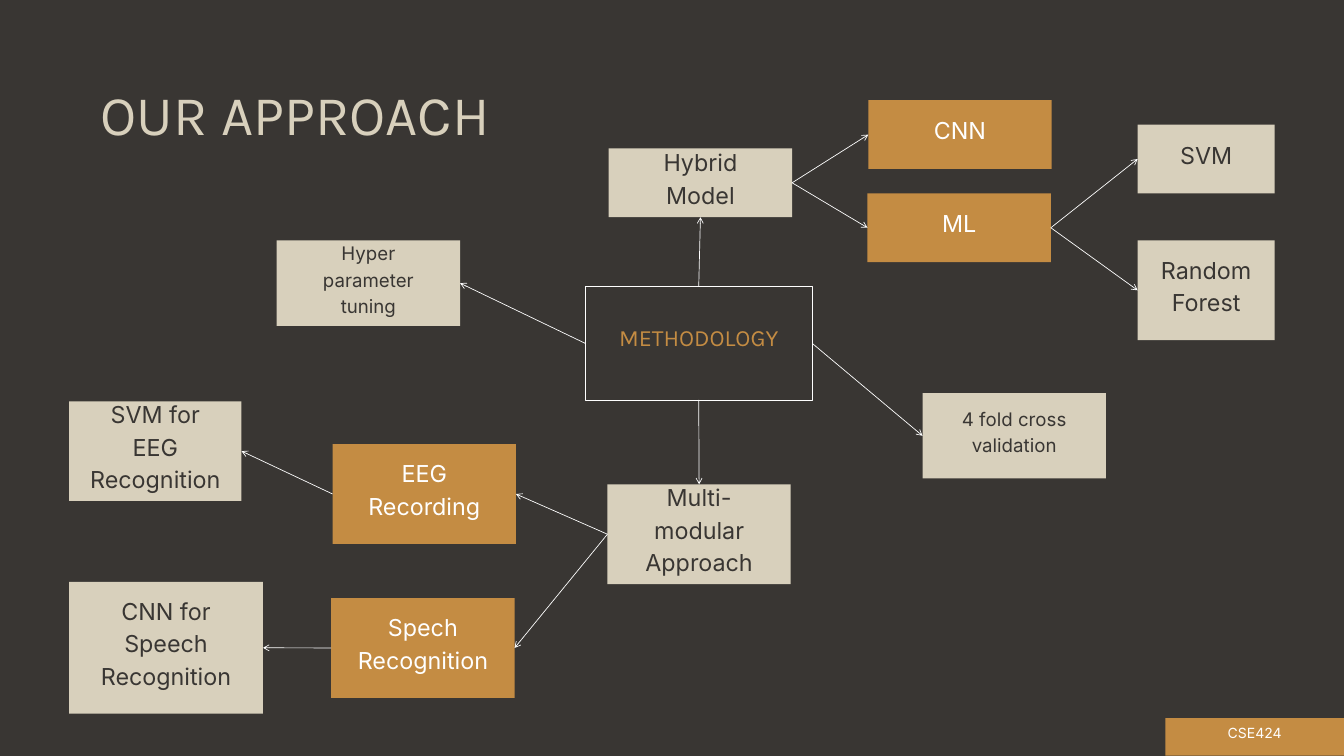
from lxml import etree
from pptx import Presentation, util as u
from pptx.dml.color import RGBColor
from pptx.enum import shapes, text
from pptx.oxml import ns

DARK, SAND, OCHRE, WHITE = "393633", "D8D0BC", "C48C43", "FFFFFF"
TITLE = "OUR APPROACH"
TITLE_PLACE = (3.81, 3, 17.42, 2.59)

STYLES = {
    "core": dict(fill=DARK, border=WHITE, color=OCHRE, font="Karla", size=25, leading=35, inset=0.71, lift=0.61),
    "topic": dict(fill=SAND, border=None, color=DARK, font="Inter", size=25, leading=35, inset=0.71, lift=0.5),
    "detail": dict(fill=SAND, border=None, color=DARK, font="Inter", size=20, leading=28, inset=0.71, lift=0.41),
    "accent": dict(fill=OCHRE, border=None, color=WHITE, font="Inter", size=25, leading=35, inset=0.71, lift=0.5),
    "course": dict(fill=OCHRE, border=None, color=WHITE, font="Inter", size=15, leading=21, inset=0.41, lift=0.41),
}

BOXES = {
    "methodology": ("METHODOLOGY", "core", 22.12, 10.84, 8.58, 4.28),
    "tuning": ("Hyper parameter tuning", "detail", 10.46, 9.09, 6.93, 3.23),
    "hybrid": ("Hybrid Model", "topic", 23.01, 5.61, 6.93, 2.6),
    "multi": ("Multi-modular Approach", "topic", 22.96, 18.31, 6.93, 3.77),
    "validation": ("4 fold cross validation", "detail", 34.87, 14.86, 6.93, 3.23),
    "ml": ("ML", "accent", 32.79, 7.31, 6.93, 2.6),
    "cnn": ("CNN", "accent", 32.82, 3.79, 6.93, 2.6),
    "forest": ("Random Forest", "topic", 43, 9.09, 5.18, 3.77),
    "svm": ("SVM", "topic", 43, 4.71, 5.18, 2.6),
    "speech": ("Spech Recognition", "accent", 12.52, 22.61, 6.93, 3.77),
    "eeg": ("EEG Recording", "accent", 12.57, 16.79, 6.93, 3.77),
    "speech_cnn": ("CNN for Speech Recognition", "topic", 2.61, 22, 7.33, 4.98),
    "eeg_svm": ("SVM for EEG\nRecognition", "topic", 2.61, 15.17, 6.52, 3.77),
    "course": ("CSE424", "course", 44.05, 27.15, 6.75, 1.42),
}

TOP, LEFT, BOTTOM, RIGHT = range(4)
OPPOSITE = {TOP: BOTTOM, BOTTOM: TOP, LEFT: RIGHT, RIGHT: LEFT}
ARROWS = [
    ("methodology", RIGHT, "validation"),
    ("methodology", TOP, "hybrid"),
    ("methodology", BOTTOM, "multi"),
    ("methodology", LEFT, "tuning"),
    ("hybrid", RIGHT, "ml"),
    ("hybrid", RIGHT, "cnn"),
    ("ml", RIGHT, "forest"),
    ("ml", RIGHT, "svm"),
    ("multi", LEFT, "speech"),
    ("multi", LEFT, "eeg"),
    ("speech", LEFT, "speech_cnn"),
    ("eeg", LEFT, "eeg_svm"),
]


def rgb(value):
    return RGBColor.from_string(value)


def apply(target, values):
    for name, value in values.items():
        setattr(target, name, value)


def write(frame, words, font, size, color, leading, align):
    frame.text = words
    for paragraph in frame.paragraphs:
        apply(paragraph, dict(alignment=align, line_spacing=u.Pt(leading)))
        apply(paragraph.runs[0].font, dict(name=font, size=u.Pt(size)))
        paragraph.runs[0].font.color.rgb = rgb(color)


def add_title(slide):
    frame = slide.shapes.add_textbox(*map(u.Cm, TITLE_PLACE)).text_frame
    apply(frame, dict(word_wrap=True, margin_left=0, margin_top=0, margin_right=0, margin_bottom=0))
    write(frame, TITLE, "Karla", 60, SAND, 72, text.PP_ALIGN.LEFT)


def add_box(slide, words, style_name, *place):
    style = STYLES[style_name]
    box = slide.shapes.add_shape(shapes.MSO_SHAPE.RECTANGLE, *map(u.Cm, place))
    box.shadow.inherit = False
    box.fill.solid()
    box.fill.fore_color.rgb = rgb(style["fill"])
    if style["border"]:
        box.line.color.rgb = rgb(style["border"])
        box.line.width = u.Pt(0.75)
    else:
        box.line.fill.background()
    inset = u.Cm(style["inset"])
    apply(box.text_frame, dict(
        word_wrap=True, vertical_anchor=text.MSO_ANCHOR.MIDDLE,
        margin_left=inset, margin_right=inset, margin_bottom=inset,
        margin_top=inset - u.Cm(style["lift"])))
    write(box.text_frame, words, style["font"], style["size"], style["color"],
          style["leading"], text.PP_ALIGN.CENTER)
    return box


def add_arrow(slide, source, side, target):
    arrow = slide.shapes.add_connector(shapes.MSO_CONNECTOR.STRAIGHT, 0, 0, 0, 0)
    arrow.begin_connect(source, side)
    arrow.end_connect(target, OPPOSITE[side])
    arrow.line.color.rgb = rgb(WHITE)
    arrow.line.width = u.Pt(0.75)
    etree.SubElement(arrow.line._get_or_add_ln(), ns.qn("a:tailEnd"), type="arrow")
    etree.SubElement(arrow._element.spPr, ns.qn("a:effectLst"))


def main():
    deck = Presentation()
    apply(deck, dict(slide_width=u.Cm(50.8), slide_height=u.Cm(28.58)))
    slide = deck.slides.add_slide(deck.slide_layouts[6])
    slide.background.fill.solid()
    slide.background.fill.fore_color.rgb = rgb(DARK)
    add_title(slide)
    boxes = {key: add_box(slide, *box) for key, box in BOXES.items()}
    for source, side, target in ARROWS:
        add_arrow(slide, boxes[source], side, boxes[target])
    deck.save("out.pptx")


if __name__ == "__main__":
    main()
